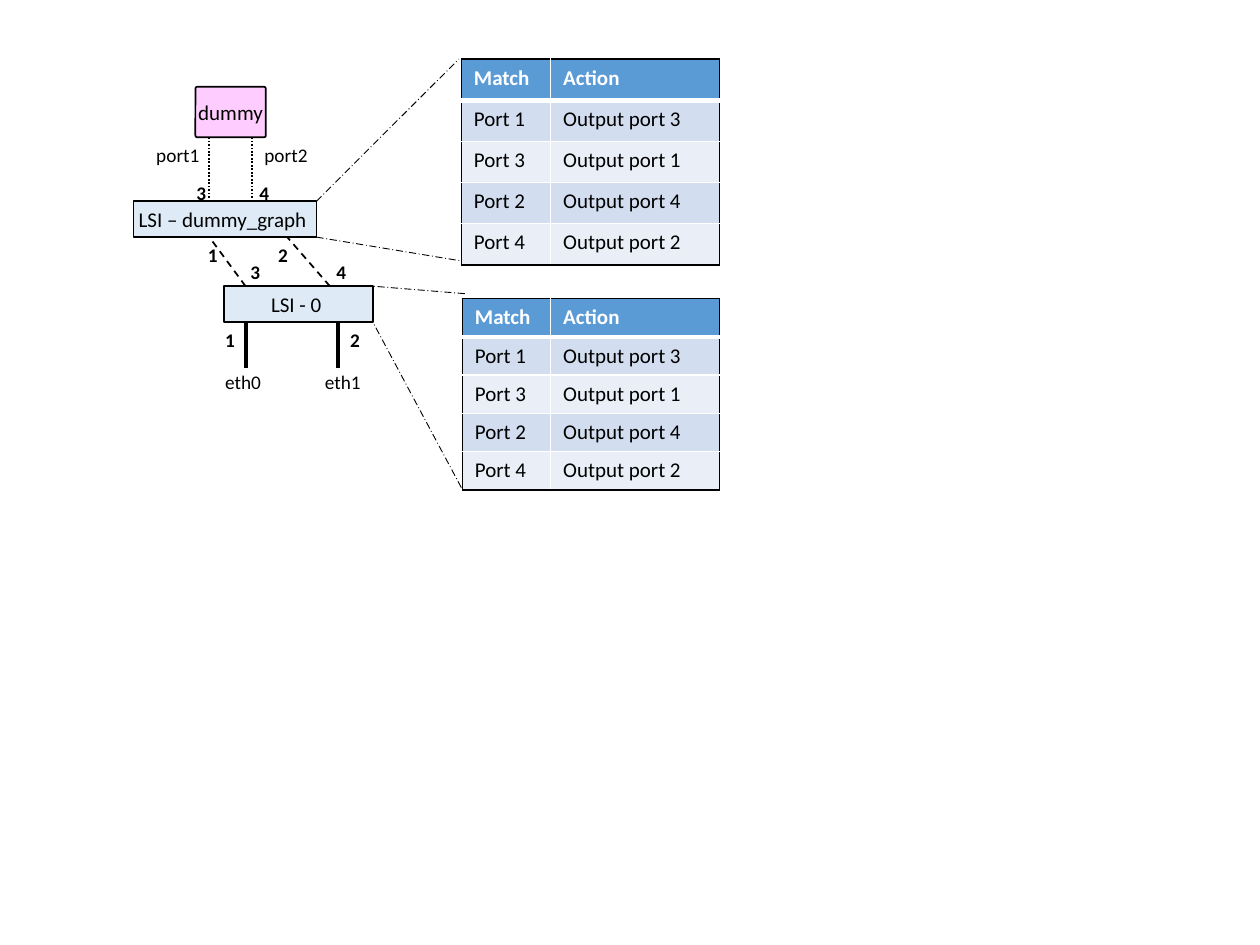
from lxml import etree
from pptx import Presentation
from pptx.dml.color import RGBColor
from pptx.enum.dml import MSO_LINE
from pptx.enum.shapes import MSO_CONNECTOR, MSO_SHAPE
from pptx.enum.text import MSO_ANCHOR, PP_ALIGN
from pptx.oxml.ns import qn
from pptx.util import Cm, Pt

BLACK = RGBColor(0x00, 0x00, 0x00)
WHITE = RGBColor(0xFF, 0xFF, 0xFF)
SWITCH_BLUE = RGBColor(0xDE, 0xEB, 0xF7)
DUMMY_PINK = RGBColor(0xFF, 0xCC, 0xFF)
HEADER_BLUE = RGBColor(0x5B, 0x9B, 0xD5)
BANDS = (RGBColor(0xD2, 0xDE, 0xEF), RGBColor(0xEA, 0xEF, 0xF7))
FONT = "Calibri"
RECTANGLE, ROUNDED = MSO_SHAPE.RECTANGLE, MSO_SHAPE.ROUNDED_RECTANGLE
DASH, DOT, DASH_DOT = MSO_LINE.DASH, MSO_LINE.ROUND_DOT, MSO_LINE.LONG_DASH_DOT

FLOW_RULES = [
    ("Match", "Action"),
    ("Port 1", "Output port 3"),
    ("Port 3", "Output port 1"),
    ("Port 2", "Output port 4"),
    ("Port 4", "Output port 2"),
]
# left, top, column widths, row height (cm)
FLOW_TABLES = [
    (9.3, 1.19, (1.8, 3.4), 0.83),
    (9.32, 6.02, (1.78, 3.4), 0.76),
]
# text, left, top, width, height (cm)
SWITCHES = [
    ("LSI - 0 ", 4.52, 5.77, 3.0, 0.72),
    ("LSI – dummy_graph ", 2.69, 4.06, 3.69, 0.72),
]
DUMMY = ("dummy", 3.94, 1.75, 1.42, 1.02)
# width (pt), dash, list of (x1, y1, x2, y2) in cm
LINKS = [
    (2.25, None, [(4.95, 6.5, 4.95, 7.42), (6.81, 6.5, 6.81, 7.42)]),
    (1, DASH, [(4.95, 5.77, 4.22, 4.78), (6.65, 5.77, 5.79, 4.78)]),
    (1, DOT, [(4.22, 4.06, 4.22, 2.49), (5.08, 4.06, 5.08, 2.62)]),
]
CALLOUTS = [
    (0.5, DASH_DOT, [
        (6.38, 4.06, 9.25, 1.19), (6.38, 4.78, 9.3, 5.26),
        (9.37, 5.92, 7.52, 5.77), (9.3, 9.83, 7.52, 6.5),
    ]),
]
# text, left, top (cm)
PORT_NAMES = [
    ("eth0", 4.29, 7.34), ("eth1", 6.3, 7.34),
    ("port1", 2.9, 2.77), ("port2", 5.08, 2.77),
]
PORT_NUMBERS = [
    ("1", 4.29, 6.5), ("2", 6.81, 6.5),
    ("3", 4.8, 5.13), ("4", 6.53, 5.13),
    ("1", 3.94, 4.78), ("2", 5.36, 4.78),
    ("3", 3.71, 3.53), ("4", 4.98, 3.53),
]


def write(text_frame, text, size, color=BLACK, bold=False):
    paragraph = text_frame.paragraphs[0]
    paragraph.text = text
    font = paragraph.font
    font.name, font.size, font.bold = FONT, Pt(size), bold
    font.color.rgb = color
    return paragraph


def set_borders(cell, borders):
    """Set (color, points) for the left, right, top and bottom edges."""
    properties = cell._tc.get_or_add_tcPr()
    for index, (side, (color, points)) in enumerate(zip("LRTB", borders)):
        line = etree.Element(qn(f"a:ln{side}"), w=str(Pt(points)))
        fill = etree.SubElement(line, qn("a:solidFill"))
        etree.SubElement(fill, qn("a:srgbClr"), val=str(color))
        properties.insert(index, line)


def add_flow_table(slide, left, top, widths, row_height):
    row_count, column_count = len(FLOW_RULES), len(widths)
    table = slide.shapes.add_table(
        row_count, column_count, Cm(left), Cm(top),
        Cm(sum(widths)), Cm(row_height * row_count)).table
    for column, width in zip(table.columns, widths):
        column.width = Cm(width)
    outer, inner, header_rule = (BLACK, 1), (WHITE, 1), (WHITE, 3)
    tops = [outer, header_rule] + [inner] * (row_count - 2)
    bottoms = tops[1:] + [outer]
    for r, rule in enumerate(FLOW_RULES):
        table.rows[r].height = Cm(row_height)
        is_header = r == 0
        for c, text in enumerate(rule):
            cell = table.cell(r, c)
            cell.fill.solid()
            cell.fill.fore_color.rgb = HEADER_BLUE if is_header else BANDS[(r - 1) % 2]
            write(cell.text_frame, text, 12, WHITE if is_header else BLACK, is_header)
            set_borders(cell, (
                outer if c == 0 else inner,
                outer if c == column_count - 1 else inner,
                tops[r], bottoms[r]))


def add_node(slide, kind, fill, text, left, top, width, height):
    shape = slide.shapes.add_shape(kind, Cm(left), Cm(top), Cm(width), Cm(height))
    shape.shadow.inherit = False
    shape.fill.solid()
    shape.fill.fore_color.rgb = fill
    shape.line.color.rgb = BLACK
    shape.line.width = Pt(1)
    shape.text_frame.word_wrap = False
    shape.text_frame.vertical_anchor = MSO_ANCHOR.MIDDLE
    write(shape.text_frame, text, 12).alignment = PP_ALIGN.CENTER
    return shape


def add_lines(slide, groups):
    for width, dash, segments in groups:
        for segment in segments:
            line = slide.shapes.add_connector(
                MSO_CONNECTOR.STRAIGHT, *(Cm(value) for value in segment))
            line.line.color.rgb = BLACK
            line.line.width = Pt(width)
            if dash is not None:
                line.line.dash_style = dash
            etree.SubElement(line._element.spPr, qn("a:effectLst"))


def add_labels(slide, labels, width, bold):
    for text, left, top in labels:
        box = slide.shapes.add_textbox(Cm(left), Cm(top), Cm(width), Cm(0.58))
        box.text_frame.word_wrap = True
        box.text_frame.margin_right = 0
        write(box.text_frame, text, 11, bold=bold)


def main():
    presentation = Presentation()
    presentation.slide_width, presentation.slide_height = Cm(25.4), Cm(19.05)
    slide = presentation.slides.add_slide(presentation.slide_layouts[6])
    for flow_table in FLOW_TABLES:
        add_flow_table(slide, *flow_table)
    for switch in SWITCHES:
        add_node(slide, RECTANGLE, SWITCH_BLUE, *switch)
    add_lines(slide, LINKS)
    dummy = add_node(slide, ROUNDED, DUMMY_PINK, *DUMMY)
    dummy.adjustments[0] = 0.04
    add_labels(slide, PORT_NAMES, 1.25, bold=False)
    add_labels(slide, PORT_NUMBERS, 0.5, bold=True)
    add_lines(slide, CALLOUTS)
    presentation.save("out.pptx")


if __name__ == "__main__":
    main()
